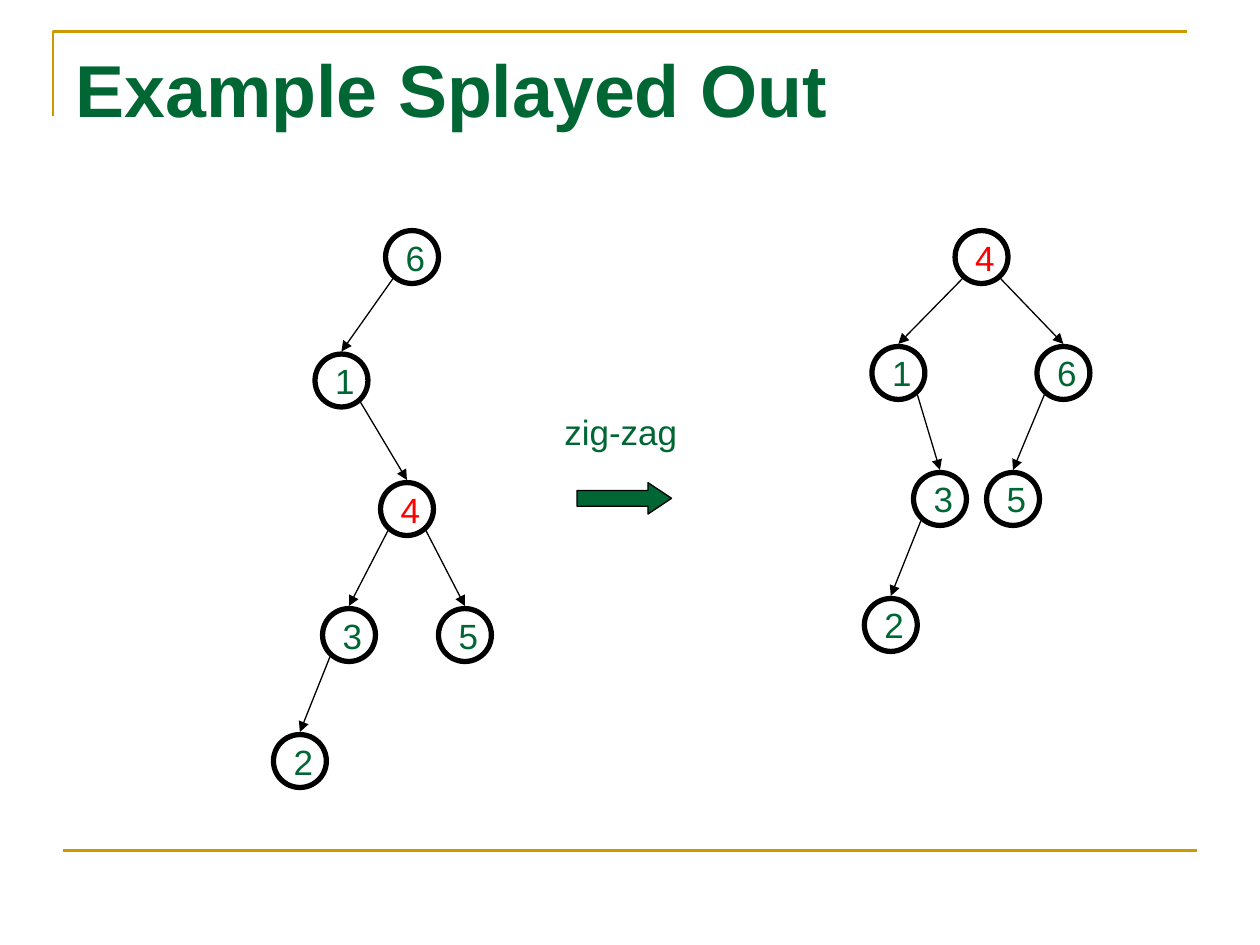
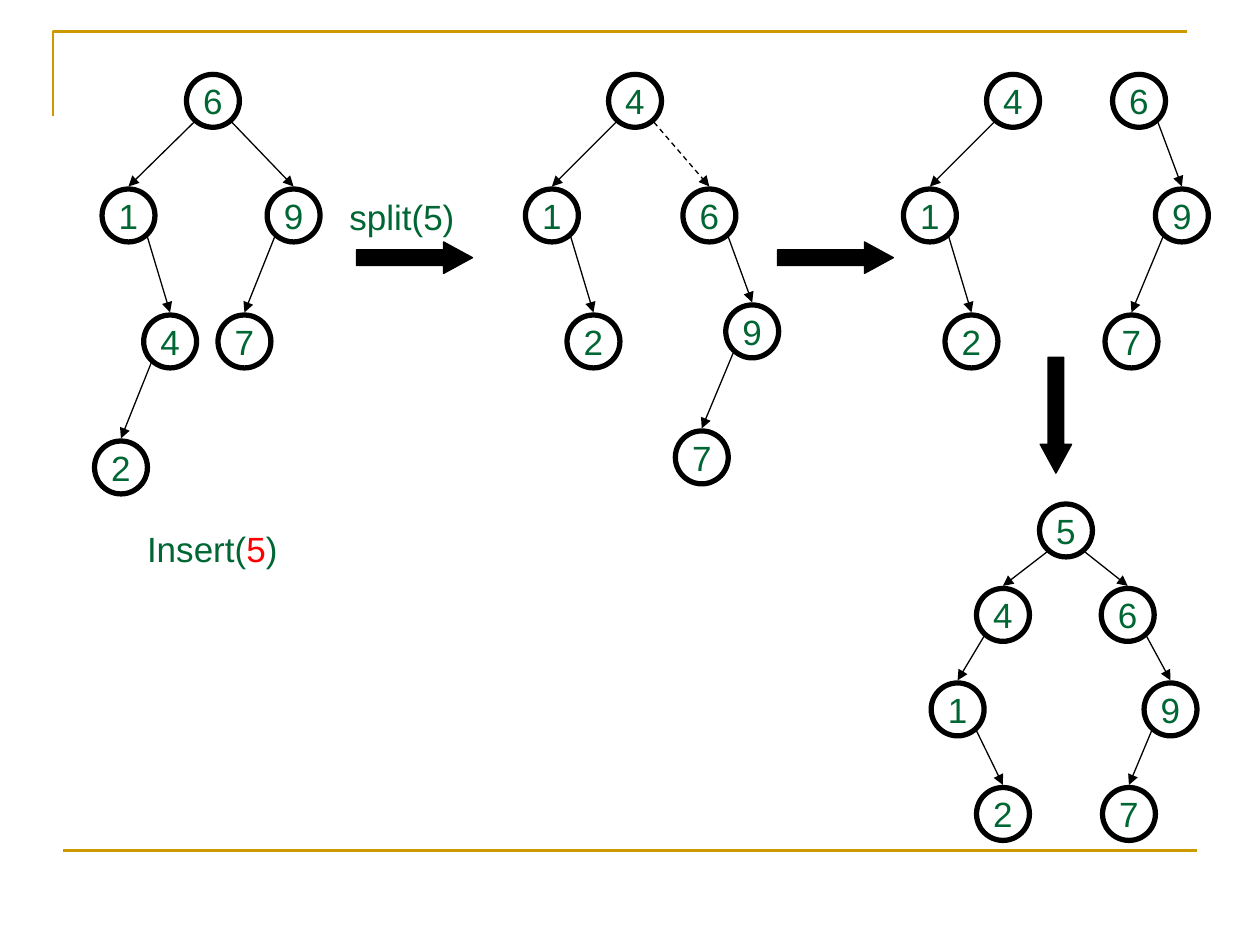
"""Build two slides that show splay tree rotations and an insertion by split."""
from dataclasses import dataclass
from typing import Optional

from lxml import etree
from pptx import Presentation
from pptx import util as u
from pptx.dml.color import RGBColor
from pptx.enum import dml, shapes, text
from pptx.oxml import ns

GREEN = RGBColor(0x00, 0x66, 0x33)
RED = RGBColor(0xFF, 0x00, 0x00)
GOLD = RGBColor(0xCC, 0x99, 0x00)
BLACK = RGBColor(0x00, 0x00, 0x00)
FONT = "Arial"
LEFT, CENTER = text.PP_ALIGN.LEFT, text.PP_ALIGN.CENTER
DIAMETER = 0.42
EDGE_SPREAD = 0.15
EDGE_DROP = 0.38
EDGE_GAP = 0.02


@dataclass(frozen=True)
class Node:
    """A tree node placed by its top left corner, with its children."""
    key: str
    x: float
    y: float
    left: Optional["Node"] = None
    right: Optional["Node"] = None
    color: RGBColor = GREEN
    right_dashed: bool = False


@dataclass(frozen=True)
class BlockArrow:
    """A thick arrow that leads from one step to the next."""
    x: float
    y: float
    width: float = 0.92
    head: float = 0.917
    fill: RGBColor = BLACK
    rotation: float = 0


@dataclass(frozen=True)
class Label:
    """A caption made of coloured pieces."""
    x: float
    y: float
    width: float
    pieces: tuple[tuple[str, RGBColor], ...]


SPLAY_TREES = (
    Node("6", 3.06, 1.83, left=Node(
        "1", 2.5, 2.81, right=Node(
            "4", 3.02, 3.83, color=RED,
            left=Node("3", 2.56, 4.83, left=Node("2", 2.17, 5.83)),
            right=Node("5", 3.48, 4.83)))),
    Node("4", 7.58, 1.83, color=RED,
         left=Node("1", 6.92, 2.75, right=Node(
             "3", 7.25, 3.75, left=Node("2", 6.86, 4.75))),
         right=Node("6", 8.23, 2.75, left=Node("5", 7.83, 3.75))),
)
INSERT_TREES = (
    Node("6", 1.48, 0.59,
         left=Node("1", 0.81, 1.5, right=Node(
             "4", 1.14, 2.5, left=Node("2", 0.75, 3.5))),
         right=Node("9", 2.12, 1.5, left=Node("7", 1.73, 2.5))),
    Node("4", 4.83, 0.59, right_dashed=True,
         left=Node("1", 4.17, 1.5, right=Node("2", 4.5, 2.5)),
         right=Node("6", 5.42, 1.5, right=Node(
             "9", 5.76, 2.42, left=Node("7", 5.36, 3.42)))),
    Node("4", 7.83, 0.59,
         left=Node("1", 7.17, 1.5, right=Node("2", 7.5, 2.5))),
    Node("6", 8.83, 0.59,
         right=Node("9", 9.17, 1.5, left=Node("7", 8.77, 2.5))),
    Node("5", 8.25, 4,
         left=Node("4", 7.75, 4.67, left=Node(
             "1", 7.39, 5.42, right=Node("2", 7.75, 6.25))),
         right=Node("6", 8.74, 4.67, right=Node(
             "9", 9.08, 5.42, left=Node("7", 8.75, 6.25)))),
)
SPLAY_ARROWS = (BlockArrow(4.58, 3.83, width=0.75, head=0.75, fill=GREEN),)
INSERT_ARROWS = (BlockArrow(2.83, 1.92), BlockArrow(6.17, 1.92),
                 BlockArrow(7.92, 3.17, rotation=90))
SPLAY_LABELS = (Label(4.38, 3.21, 1.11, (("zig-zag", GREEN),)),)
INSERT_LABELS = (
    Label(1.06, 4.14, 1.25, (("Insert(", GREEN), ("5", RED), (")", GREEN))),
    Label(2.67, 1.5, 1.04, (("split(5)", GREEN),)),
)


def write(paragraph, words: str, *, size: float = 20, color: RGBColor = GREEN,
          bold: bool = False, align=LEFT) -> None:
    """Add a formatted run to a paragraph."""
    paragraph.alignment = align
    run = paragraph.add_run()
    run.text = words
    run.font.name = FONT
    run.font.size = u.Pt(size)
    run.font.bold = bold
    run.font.color.rgb = color


def draw_line(canvas, start: tuple[float, float], end: tuple[float, float], *,
              color: RGBColor = BLACK, width: float = 0.75,
              arrow: bool = False, dashed: bool = False) -> None:
    """Draw a straight line, with an arrowhead if asked."""
    connector = canvas.add_connector(
        shapes.MSO_CONNECTOR.STRAIGHT,
        *(u.Inches(length) for length in (*start, *end)))
    connector.line.color.rgb = color
    connector.line.width = u.Pt(width)
    if dashed:
        connector.line.dash_style = dml.MSO_LINE.DASH
    if arrow:
        etree.SubElement(connector.line._get_or_add_ln(), ns.qn("a:tailEnd"),
                         type="triangle")
    etree.SubElement(connector._element.spPr, ns.qn("a:effectLst"))


def draw_node(canvas, node: Node, align) -> None:
    """Draw a node, the edges below it and its subtrees."""
    circle = canvas.add_shape(
        shapes.MSO_SHAPE.OVAL, u.Inches(node.x), u.Inches(node.y),
        u.Inches(DIAMETER), u.Inches(DIAMETER))
    circle.shadow.inherit = False
    circle.fill.background()
    circle.line.color.rgb = BLACK
    circle.line.width = u.Pt(3)
    frame = circle.text_frame
    frame.word_wrap = False
    frame.vertical_anchor = text.MSO_ANCHOR.MIDDLE
    write(frame.paragraphs[0], node.key, color=node.color, align=align)
    radius = DIAMETER / 2
    for child, side in ((node.left, -1), (node.right, 1)):
        if child:
            start = (node.x + radius + side * EDGE_SPREAD, node.y + EDGE_DROP)
            end = (child.x + radius, child.y - EDGE_GAP)
            draw_line(canvas, start, end, arrow=True,
                      dashed=side > 0 and node.right_dashed)
            draw_node(canvas, child, align)


def draw_block_arrow(slide, arrow: BlockArrow) -> None:
    """Draw a thick step arrow."""
    shape = slide.shapes.add_shape(
        shapes.MSO_SHAPE.RIGHT_ARROW, u.Inches(arrow.x), u.Inches(arrow.y),
        u.Inches(arrow.width), u.Inches(0.25))
    shape.adjustments[1] = arrow.head
    shape.rotation = arrow.rotation
    shape.shadow.inherit = False
    shape.fill.solid()
    shape.fill.fore_color.rgb = arrow.fill
    shape.line.color.rgb = BLACK
    shape.line.width = u.Pt(0.75)


def draw_label(slide, label: Label, align) -> None:
    """Draw a caption in a box that fits its text."""
    box = slide.shapes.add_textbox(u.Inches(label.x), u.Inches(label.y),
                                   u.Inches(label.width), u.Inches(0.44))
    frame = box.text_frame
    frame.word_wrap = False
    frame.auto_size = text.MSO_AUTO_SIZE.SHAPE_TO_FIT_TEXT
    for words, color in label.pieces:
        write(frame.paragraphs[0], words, color=color, align=align)


def draw_frame(slide) -> None:
    """Draw the gold corner and the gold footer rule."""
    builder = slide.shapes.build_freeform(u.Inches(0.42), u.Inches(0.92))
    builder.add_line_segments(
        [(u.Inches(0.42), u.Inches(0.25)), (u.Inches(9.42), u.Inches(0.25))],
        close=False)
    corner = builder.convert_to_shape()
    corner.shadow.inherit = False
    corner.fill.background()
    corner.line.color.rgb = GOLD
    corner.line.width = u.Pt(1.5)
    draw_line(slide.shapes, (0.5, 6.75), (9.5, 6.75), color=GOLD, width=1.5)


def set_title(slide, words: str) -> None:
    """Place and fill the title placeholder."""
    title = slide.shapes.title
    title.left, title.top = u.Inches(0.5), u.Inches(0.3)
    title.width, title.height = u.Inches(9), u.Inches(1.25)
    frame = title.text_frame
    frame.vertical_anchor = text.MSO_ANCHOR.TOP
    frame.auto_size = text.MSO_AUTO_SIZE.NONE
    write(frame.paragraphs[0], words, size=42, bold=True)


def add_tree_slide(presentation, trees: tuple[Node, ...],
                   arrows: tuple[BlockArrow, ...], labels: tuple[Label, ...],
                   *, title: str = "", align=LEFT) -> None:
    """Add a slide of trees joined by step arrows."""
    layout = presentation.slide_layouts[5 if title else 6]
    slide = presentation.slides.add_slide(layout)
    draw_frame(slide)
    if title:
        set_title(slide, title)
    for arrow in arrows:
        draw_block_arrow(slide, arrow)
    for label in labels:
        draw_label(slide, label, align)
    for tree in trees:
        draw_node(slide.shapes.add_group_shape().shapes, tree, align)


def main() -> None:
    """Build and save the presentation."""
    presentation = Presentation()
    presentation.slide_width = u.Inches(10)
    presentation.slide_height = u.Inches(7.5)
    add_tree_slide(presentation, SPLAY_TREES, SPLAY_ARROWS, SPLAY_LABELS,
                   title="Example Splayed Out")
    add_tree_slide(presentation, INSERT_TREES, INSERT_ARROWS, INSERT_LABELS,
                   align=CENTER)
    presentation.save("out.pptx")


if __name__ == "__main__":
    main()
